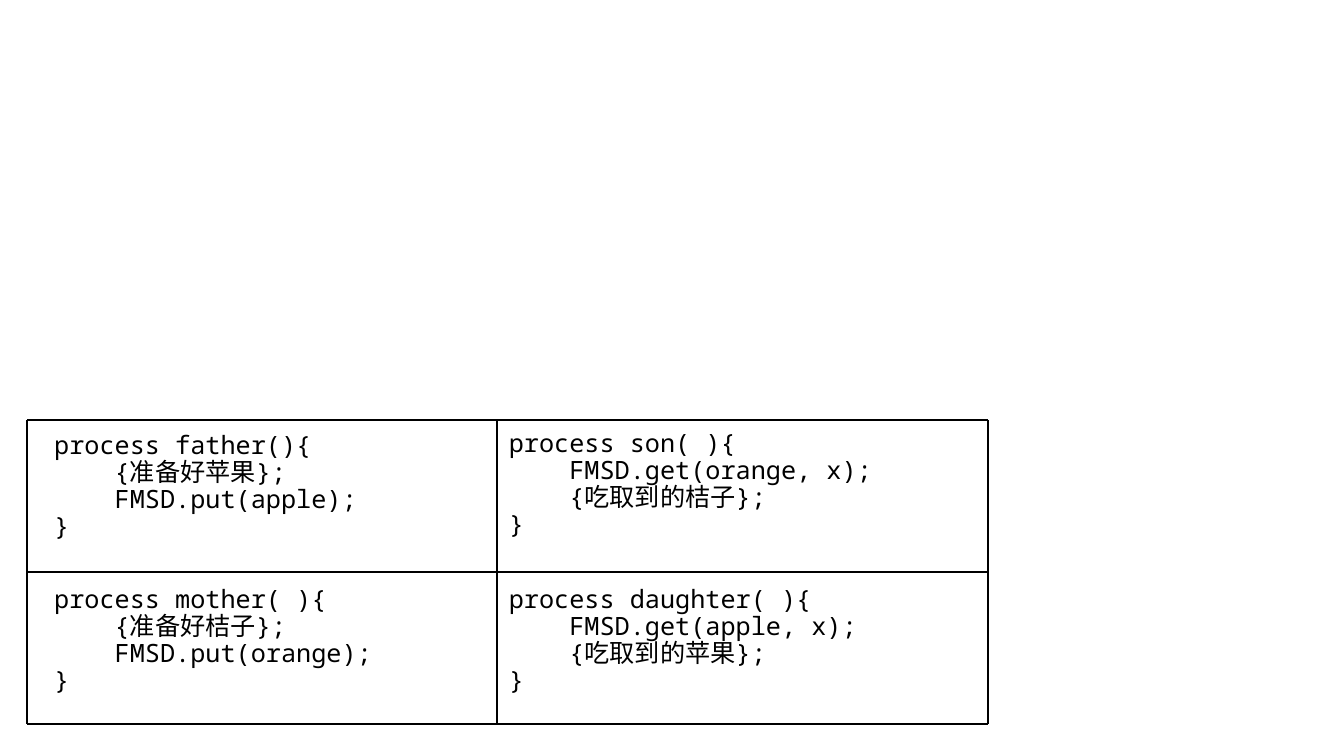
import pptx
import pptx.util
import pptx.dml.color
import pptx.enum.shapes
import pptx.enum.text
import lxml.etree
import pptx.oxml.ns

Pt = pptx.util.Pt
qn = pptx.oxml.ns.qn
COLORS = {"ink": "000000", "background": "FFFFFF"}
FONT = "Noto Sans Mono"

prs = pptx.Presentation()
prs.slide_width, prs.slide_height = Pt(960), Pt(540)
s = prs.slides.add_slide(prs.slide_layouts[6])
s.background.fill.solid()
s.background.fill.fore_color.rgb = pptx.dml.color.RGBColor.from_string(COLORS["background"])


def add_code(text, left, top, width, height=94.4, size=18, color="ink", spacing=0.9):
    tb = s.shapes.add_textbox(Pt(left), Pt(top), Pt(width), Pt(height))
    tf = tb.text_frame
    tf.word_wrap = True
    tf.auto_size = pptx.enum.text.MSO_AUTO_SIZE.SHAPE_TO_FIT_TEXT
    for i, line in enumerate(text):
        p = tf.paragraphs[0] if i == 0 else tf.add_paragraph()
        p.line_spacing = spacing
        r = p.add_run()
        r.text = line
        r.font.name = FONT
        r.font.size = Pt(size)
        r.font.color.rgb = pptx.dml.color.RGBColor.from_string(COLORS[color])
        ea = lxml.etree.SubElement(r.font._element, qn("a:ea"))
        ea.set("typeface", FONT)


processes = [
    ("daughter( )", ["FMSD.get(apple, x);", "{吃取到的苹果};"], 356.4, 415.4, 397.4),
    ("son( )", ["FMSD.get(orange, x);", "{吃取到的桔子};"], 356.4, 303.8, 324.7),
    ("mother( )", ["{准备好桔子};", "FMSD.put(orange);"], 31.7, 415.4, 305.3),
    ("father()", ["{准备好苹果};", "FMSD.put(apple);"], 31.7, 305.3, 316.8),
]
for name, body, left, top, width in processes:
    code = [f"process {name}{{", *[f"    {line}" for line in body], "}"]
    add_code(code, left, top, width)

xs = [19.4, 355, 705.6]
ys = [300.2, 408.6, 517]
edges = [(xs[0], y, xs[-1], y) for y in ys] + [(x, ys[0], x, ys[-1]) for x in xs]
for edge in edges:
    c = s.shapes.add_connector(pptx.enum.shapes.MSO_CONNECTOR.STRAIGHT, *[Pt(v) for v in edge])
    c.line.width = Pt(1.5)
    c.line.color.rgb = pptx.dml.color.RGBColor.from_string(COLORS["ink"])
    lxml.etree.SubElement(c._element.spPr, qn("a:effectLst"))

prs.save("out.pptx")
